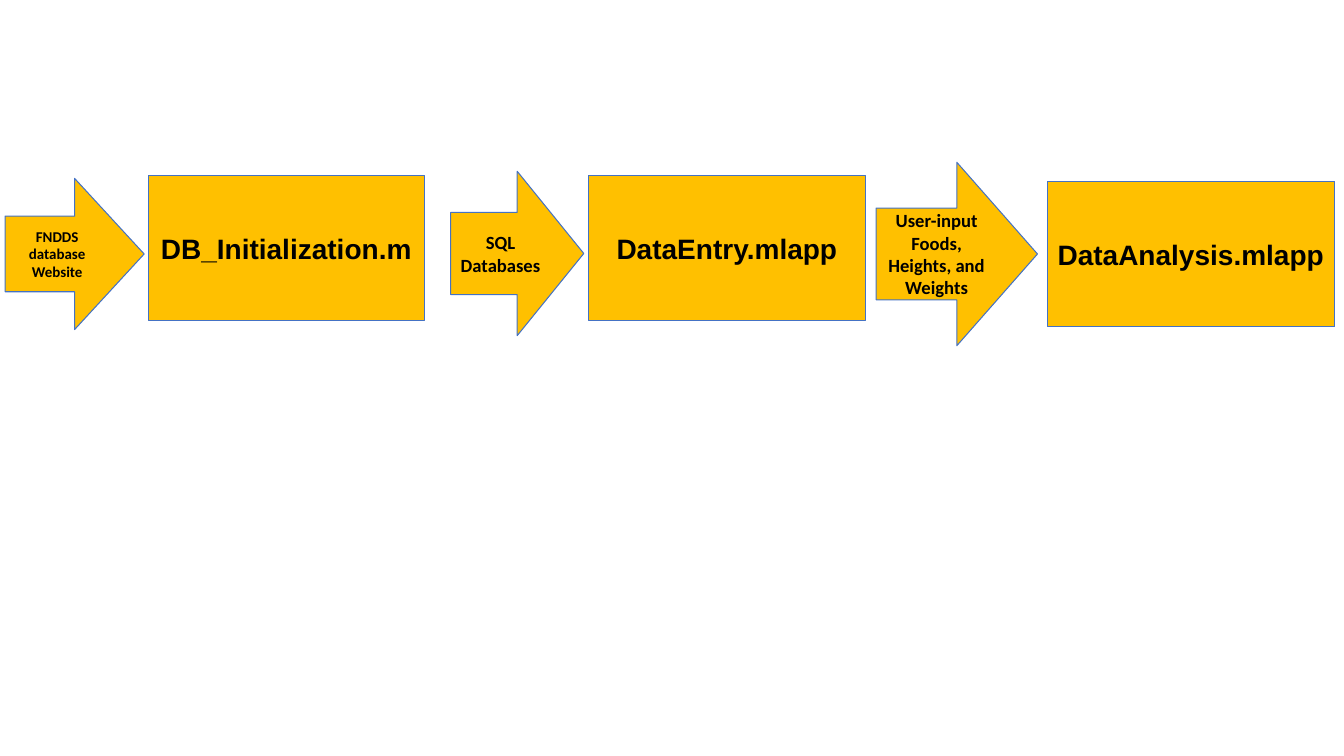
import pptx
import pptx.util
import pptx.dml.color
import pptx.enum.shapes
import pptx.enum.text
from dataclasses import dataclass

PX = 9144  # EMU per px, 100 px to the inch


@dataclass(frozen=True)
class Theme:
    fill: str = "FFC000"
    line: str = "4472C4"
    text: str = "000000"
    line_width: float = 0.75
    program_font: str = "Arial"
    data_font: str = "Calibri"
    program_size: float = 20
    data_size: float = 13.3
    small_size: float = 10.7


theme = Theme()
RECTANGLE = pptx.enum.shapes.MSO_SHAPE.RECTANGLE
ARROW = pptx.enum.shapes.MSO_SHAPE.RIGHT_ARROW
LEFT = pptx.enum.text.PP_ALIGN.LEFT
CENTER = pptx.enum.text.PP_ALIGN.CENTER


def color(value):
    return pptx.dml.color.RGBColor.from_string(value)


def add_step(slide, kind, box, text, font, size, alignment):
    shape = slide.shapes.add_shape(kind, *(length * PX for length in box))
    shape.shadow.inherit = False
    shape.fill.solid()
    shape.fill.fore_color.rgb = color(theme.fill)
    shape.line.color.rgb = color(theme.line)
    shape.line.width = pptx.util.Pt(theme.line_width)

    text_frame = shape.text_frame
    text_frame.word_wrap = True
    text_frame.vertical_anchor = pptx.enum.text.MSO_ANCHOR.MIDDLE
    text_frame.text = text
    paragraph = text_frame.paragraphs[0]
    paragraph.alignment = alignment
    run = paragraph.runs[0]
    run.font.name = font
    run.font.size = pptx.util.Pt(size)
    run.font.bold = True
    run.font.color.rgb = color(theme.text)


# Blank widescreen slide
presentation = pptx.Presentation()
presentation.slide_width = 1333 * PX
presentation.slide_height = 750 * PX
slide = presentation.slides.add_slide(presentation.slide_layouts[6])

# Programs: left, top, width, height in px
programs = [
    ((147, 174, 274, 144), "DB_Initialization.m", CENTER),
    ((584, 174, 274, 144), "DataEntry.mlapp", CENTER),
    ((1039, 180, 285, 144), "DataAnalysis.mlapp", LEFT),
]
for box, text, alignment in programs:
    add_step(slide, RECTANGLE, box, text, theme.program_font, theme.program_size, alignment)

# Data passed into each program
data_arrows = [
    ((447, 170, 132, 163), "SQL Databases", theme.data_size),
    ((5, 177, 138, 150), "FNDDS database Website", theme.small_size),
    ((869, 161, 160, 182), "User-input Foods, Heights, and Weights", theme.data_size),
]
for box, text, size in data_arrows:
    add_step(slide, ARROW, box, text, theme.data_font, size, CENTER)

presentation.save("out.pptx")
